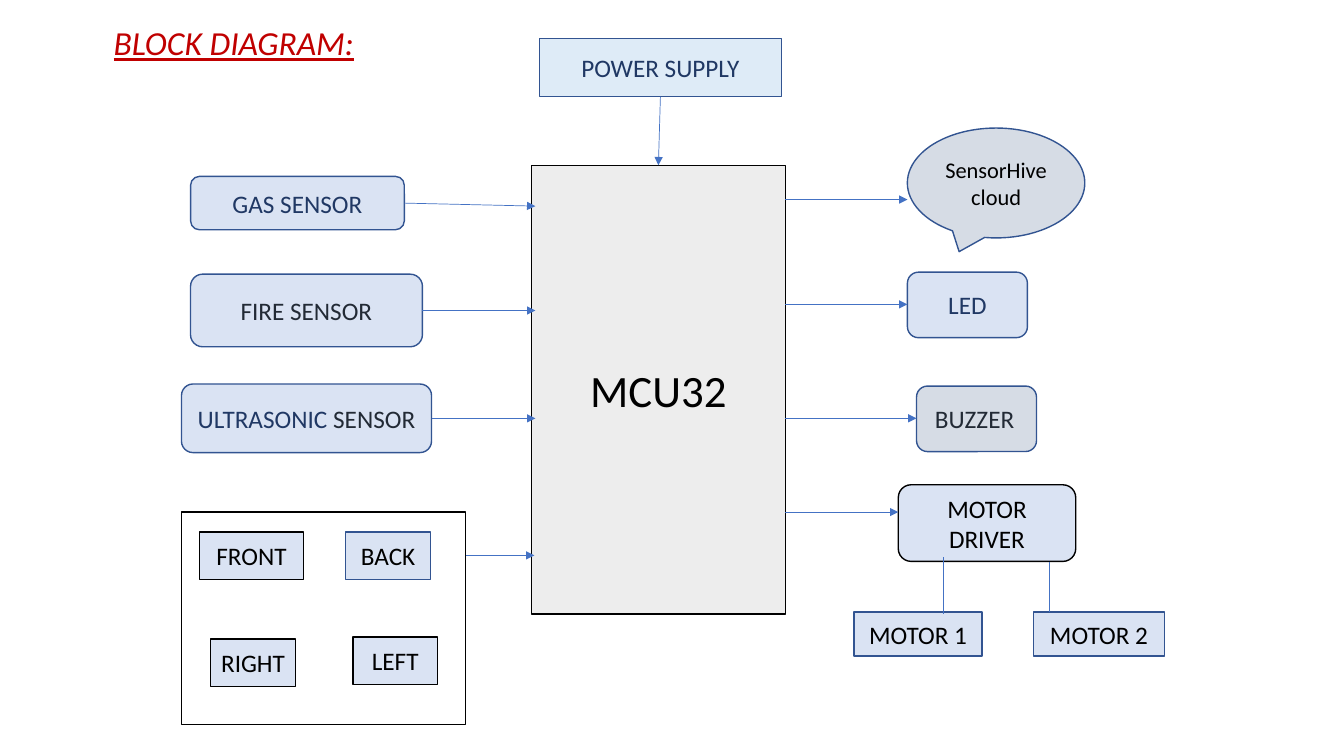
from lxml import etree
from pptx import Presentation
from pptx.dml.color import RGBColor
from pptx.enum import shapes, text
from pptx.oxml import ns
from pptx.util import Inches, Pt

BLACK = RGBColor(0x00, 0x00, 0x00)
WHITE = RGBColor(0xFF, 0xFF, 0xFF)
RED = RGBColor(0xC0, 0x00, 0x00)
NAVY = RGBColor(0x20, 0x38, 0x64)
SLATE = RGBColor(0x22, 0x2A, 0x35)
OUTLINE = RGBColor(0x32, 0x54, 0x91)
ARROW = RGBColor(0x44, 0x72, 0xC4)
PALE_BLUE = RGBColor(0xDA, 0xE3, 0xF3)
SKY = RGBColor(0xDE, 0xEB, 0xF7)
BLUE_GRAY = RGBColor(0xD6, 0xDC, 0xE5)
LIGHT_GRAY = RGBColor(0xED, 0xED, 0xED)

RECTANGLE = shapes.MSO_SHAPE.RECTANGLE
ROUNDED = shapes.MSO_SHAPE.ROUNDED_RECTANGLE
CALLOUT = shapes.MSO_SHAPE.OVAL_CALLOUT
CENTER = text.PP_ALIGN.CENTER
LEFT = text.PP_ALIGN.LEFT


def write_text(shape, *pieces, size=18, color=BLACK, italic=False,
               underline=False, align=CENTER, indent=0.1):
    """Write one paragraph; a piece is a string or a (string, color) pair."""
    frame = shape.text_frame
    frame.word_wrap = True
    frame.auto_size = text.MSO_AUTO_SIZE.NONE
    frame.vertical_anchor = text.MSO_ANCHOR.MIDDLE
    frame.margin_left = Inches(indent)
    paragraph = frame.paragraphs[0]
    paragraph.alignment = align
    for piece in pieces:
        wording, piece_color = (piece, color) if isinstance(piece, str) else piece
        run = paragraph.add_run()
        run.text = wording
        run.font.name = "Calibri"
        run.font.size = Pt(size)
        run.font.italic = italic
        run.font.underline = underline
        run.font.color.rgb = piece_color


def place(shape, box):
    shape.left, shape.top, shape.width, shape.height = map(Inches, box)


def paint(shape, fill, outline):
    shape.fill.solid()
    shape.fill.fore_color.rgb = fill
    shape.line.color.rgb = outline
    shape.line.width = Pt(1)


def add_block(slide, box, *pieces, kind=RECTANGLE, fill=PALE_BLUE,
              outline=OUTLINE, **text_format):
    block = slide.shapes.add_shape(kind, *map(Inches, box))
    block.shadow.inherit = False
    paint(block, fill, outline)
    write_text(block, *pieces, **text_format)


def add_line(slide, start, end, arrow=True):
    line = slide.shapes.add_connector(
        shapes.MSO_CONNECTOR.STRAIGHT, *map(Inches, (*start, *end)))
    line.line.color.rgb = ARROW
    line.line.width = Pt(0.5)
    if arrow:
        outline = line.line._get_or_add_ln()
        etree.SubElement(outline, ns.qn("a:tailEnd"), type="triangle")
    etree.SubElement(line._element.spPr, ns.qn("a:effectLst"))


def add_title(slide, box):
    title = slide.shapes.title
    place(title, box)
    paint(title, WHITE, WHITE)
    write_text(title, "BLOCK DIAGRAM:", size=24, color=RED, italic=True,
               underline=True)


def add_controller(slide, box):
    """Draw the controller with the power supply above it."""
    left, top, width, height = box
    add_block(slide, box, "MCU32", fill=LIGHT_GRAY, outline=BLACK, size=32)
    add_block(slide, (left + 0.08, top - 1.26, 2.4, 0.58), "POWER SUPPLY",
              fill=SKY, color=NAVY)
    add_line(slide, (left + 1.28, top - 0.68), (left + width / 2, top))


def add_sensors(slide, box):
    """Stack the sensors in the box, with arrows to its right edge."""
    left, top, width, _ = box
    sensors = [
        # offset x, offset y, width, height, arrow drop, text
        (0.09, 0, 2.12, 0.53, 0.03, [("GAS SENSOR", NAVY)]),
        (0.09, 0.97, 2.3, 0.72, 0, [("FIRE SENSOR", SLATE)]),
        (0, 2.06, 2.48, 0.68, 0, [("ULTRASONIC ", NAVY), ("SENSOR", SLATE)]),
    ]
    for x, y, block_width, block_height, drop, pieces in sensors:
        block = (left + x, top + y, block_width, block_height)
        add_block(slide, block, *pieces, kind=ROUNDED)
        middle = top + y + block_height / 2
        add_line(slide, (left + x + block_width, middle),
                 (left + width, middle + drop))


def add_directions(slide, box, arrow_end):
    left, top, width, _ = box
    add_block(slide, box, fill=WHITE, outline=BLACK)
    directions = [
        ("FRONT", 0.18, 0.2, 1.03, BLACK),
        ("BACK", 1.63, 0.2, 0.84, OUTLINE),
        ("RIGHT", 0.29, 1.26, 0.84, BLACK),
        ("LEFT", 1.7, 1.24, 0.84, BLACK),
    ]
    for label, x, y, block_width, outline in directions:
        add_block(slide, (left + x, top + y, block_width, 0.47), label,
                  outline=outline)
    add_line(slide, (left + width, top + 0.43), (arrow_end, top + 0.43))


def add_outputs(slide, box):
    """Stack the outputs in the box, with arrows from its left edge."""
    left, top, _, _ = box
    outputs = [
        # offset x, offset y, width, height, arrow y, text, format
        (1.21, 0, 1.76, 1.09, 0.71, "SensorHive cloud",
         dict(kind=CALLOUT, fill=BLUE_GRAY, size=16)),
        (1.21, 1.43, 1.19, 0.65, 1.75, "LED", dict(kind=ROUNDED, color=NAVY)),
        (1.3, 2.56, 1.19, 0.65, 2.88, "BUZZER",
         dict(kind=ROUNDED, fill=BLUE_GRAY, color=SLATE, align=LEFT,
              indent=0.15)),
        (1.12, 3.54, 1.76, 0.76, 3.81, "MOTOR DRIVER",
         dict(kind=ROUNDED, outline=BLACK)),
    ]
    for x, y, width, height, arrow_y, label, block_format in outputs:
        add_block(slide, (left + x, top + y, width, height), label,
                  **block_format)
        add_line(slide, (left, top + arrow_y), (left + x, top + arrow_y))


def add_motors(slide, box):
    left, top, _, height = box
    motors = [
        # label, offset x, width, wire x, wire start, wire end
        ("MOTOR 1", 0, 1.27, 0.89, -0.54, 0.02),
        ("MOTOR 2", 1.78, 1.3, 1.94, -0.49, 0),
    ]
    for label, x, width, wire_x, wire_start, wire_end in motors:
        add_block(slide, (left + x, top, width, height), label)
        add_line(slide, (left + wire_x, top + wire_start),
                 (left + wire_x, top + wire_end), arrow=False)


def main():
    presentation = Presentation()
    presentation.slide_width = Inches(13.33)
    presentation.slide_height = Inches(7.5)
    slide = presentation.slides.add_slide(presentation.slide_layouts[5])
    add_title(slide, (0.9, 0.17, 2.84, 0.5))
    add_controller(slide, (5.27, 1.64, 2.52, 4.45))
    add_sensors(slide, (1.8, 1.75, 3.51, 2.74))
    add_directions(slide, (1.8, 5.08, 2.82, 2.11), arrow_end=5.3)
    add_outputs(slide, (7.79, 1.27, 2.97, 4.3))
    add_motors(slide, (8.47, 6.07, 3.08, 0.44))
    presentation.save("out.pptx")


if __name__ == "__main__":
    main()
